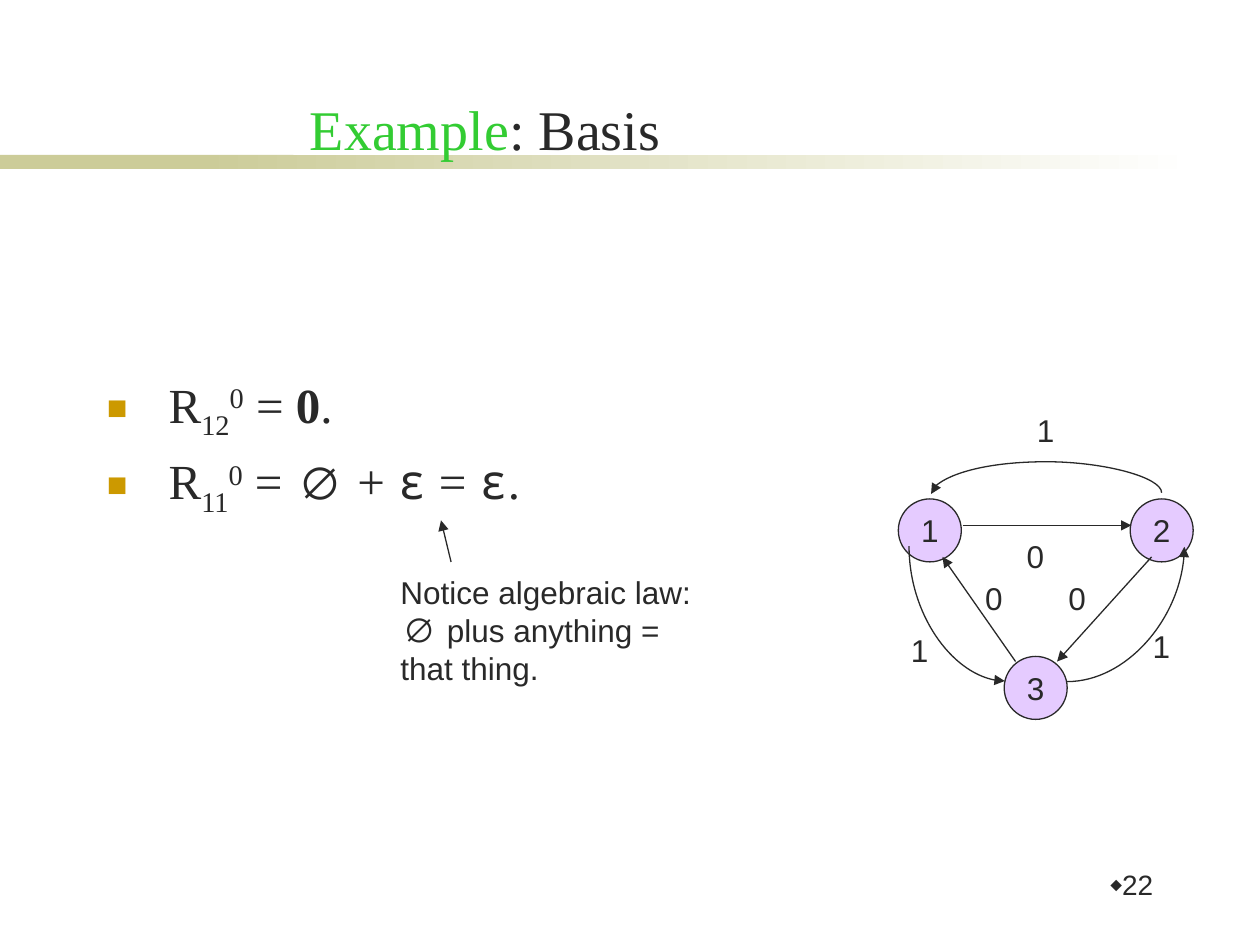
from pptx import Presentation, util as u
from pptx.dml.color import RGBColor
from pptx.enum import shapes, text
from pptx.oxml import parse_xml
from pptx.oxml.ns import nsdecls, qn

I = u.Inches


class Theme:
    """Colours, fonts and type sizes of the deck."""
    ink, green, gold = "292929", "33CC33", "CC9900"
    band, white, node = "CCCC99", "FFFFFF", "CC99FF"
    serif, sans, mono = "Times New Roman", "Arial", "Noto Sans Mono"
    title, body, sign, label, page = 32, 28, 24, 18, 16
    line = 0.75


def rgb(hue):
    """Turn a hex string into a colour."""
    return RGBColor.from_string(hue)


def tag(xml):
    """Make a drawing element from its name and attributes."""
    return parse_xml(f"<a:{xml} {nsdecls('a')}/>")


def apply(thing, form):
    """Set each attribute of the format on the thing."""
    for key, val in form.items():
        setattr(thing, key, val)


def add_run(para, words, size, face, hue=Theme.ink, base=0, bold=False):
    """Add one run of styled text, raised or lowered by base percent."""
    run = para.add_run()
    run.text = words
    apply(run.font, dict(size=u.Pt(size), name=face, bold=bold))
    run.font.color.rgb = rgb(hue)
    if base:
        run.font._element.set("baseline", str(base * 1000))


def add_box(slide, x, y, w, h, **form):
    """Add a text box and return its text frame."""
    frame = slide.shapes.add_textbox(I(x), I(y), I(w), I(h)).text_frame
    apply(frame, {"word_wrap": True, **form})
    return frame


def add_mark(para, sign, hue, size, dent=0):
    """Give a paragraph a bullet with a hanging indent."""
    props = para._p.get_or_add_pPr()
    props.set("marL", str(I(dent)))
    props.set("indent", str(-I(dent)))
    color = tag("buClr")
    color.append(tag(f'srgbClr val="{hue}"'))
    props.append(color)
    props.append(tag(f'buSzPct val="{size * 1000}"'))
    props.append(tag(f'buFont typeface="{Theme.sans}"'))
    props.append(tag(f'buChar char="{sign}"'))


def add_arrow(slide, x1, y1, x2, y2):
    """Draw a thin line that ends in a triangle."""
    link = slide.shapes.add_connector(
        shapes.MSO_CONNECTOR.STRAIGHT, I(x1), I(y1), I(x2), I(y2))
    link.line.width = u.Pt(Theme.line)
    link.line.color.rgb = rgb(Theme.ink)
    link.line._get_or_add_ln().append(tag('tailEnd type="triangle"'))
    link._element.spPr.append(tag("effectLst"))
    return link


def add_curve(slide, x, y, w, h, kind, turn=0, flips=(), bend=None):
    """Draw a curved arrow in a box that is flipped and then turned."""
    props = add_arrow(slide, x, y, x + w, y + h)._element.spPr
    props.xfrm.set("rot", str(turn * 60000))
    for flip in flips:
        props.xfrm.set(flip, "1")
    geom = props.find(qn("a:prstGeom"))
    geom.set("prst", kind)
    if bend is not None:
        geom.get_or_add_avLst().append(
            tag(f'gd name="adj1" fmla="val {bend * 100000}"'))


def add_band(slide, x, y, w, h):
    """Draw the band that fades out to the right."""
    solid = 2.33
    fade = 1.58
    for left, wide in ((x, solid), (x + fade, w - fade)):
        bar = slide.shapes.add_shape(
            shapes.MSO_SHAPE.RECTANGLE, I(left), I(y), I(wide), I(h))
        bar.shadow.inherit = False
        bar.line.fill.background()
        if left == x:
            bar.fill.solid()
            bar.fill.fore_color.rgb = rgb(Theme.band)
            continue
        bar.fill.gradient()
        bar.fill.gradient_angle = 0
        for stop, (pos, hue) in zip(bar.fill.gradient_stops,
                                    ((0, Theme.band), (1, Theme.white))):
            stop.position = pos
            stop.color.rgb = rgb(hue)


def add_title(slide, x, y, w, h):
    """Write the two-coloured title."""
    frame = add_box(slide, x, y, w, h,
                    vertical_anchor=text.MSO_ANCHOR.BOTTOM)
    para = frame.paragraphs[0]
    para.alignment = text.PP_ALIGN.CENTER
    add_run(para, "Example", Theme.title, Theme.serif, Theme.green)
    add_run(para, ": Basis", Theme.title, Theme.serif)


def add_body(slide, x, y, w, h):
    """Write the two bulleted formulas."""
    eps = ("ε", dict(face=Theme.mono))
    rows = (
        ("12", ((" = ", {}), ("0", dict(bold=True)), (".", {}))),
        ("11", ((" = ", {}), ("∅", dict(face=Theme.mono, size=Theme.sign)),
                (" + ", {}), eps, (" = ", {}), eps, (".", {}))),
    )
    frame = add_box(slide, x, y, w, h)
    for num, (sub, rest) in enumerate(rows):
        para = frame.add_paragraph() if num else frame.paragraphs[0]
        add_mark(para, "■", Theme.gold, 70, 0.49)
        para.space_before = u.Pt(5.6 * num)
        head = (("R", {}), (sub, dict(base=-25)), ("0", dict(base=30)))
        for words, form in head + rest:
            add_run(para, words,
                    **{"size": Theme.body, "face": Theme.serif, **form})


def add_graph(slide, x, y):
    """Draw the three-state automaton."""
    size = 0.5
    for name, dx, dy in (("1", 0, 0.75), ("3", 0.84, 2), ("2", 1.84, 0.75)):
        node = slide.shapes.add_shape(
            shapes.MSO_SHAPE.OVAL, I(x + dx), I(y + dy), I(size), I(size))
        node.shadow.inherit = False
        node.fill.solid()
        node.fill.fore_color.rgb = rgb(Theme.node)
        tint = node._element.spPr.find(qn("a:solidFill"))[0]
        tint.append(tag('alpha val="50000"'))
        node.line.width = u.Pt(Theme.line)
        node.line.color.rgb = rgb(Theme.ink)
        apply(node.text_frame, dict(
            word_wrap=False, vertical_anchor=text.MSO_ANCHOR.MIDDLE))
        para = node.text_frame.paragraphs[0]
        para.alignment = text.PP_ALIGN.CENTER
        add_run(para, name, Theme.label, Theme.sans)
    for x1, y1, x2, y2 in ((0.51, 0.96, 1.85, 0.96), (2.01, 1.21, 1.26, 2.04),
                           (0.93, 2.04, 0.35, 1.21)):
        add_arrow(slide, x + x1, y + y1, x + x2, y + y2)
    add_curve(slide, x + 1.17, y - 0.21, 0.01, 1.83, "curvedConnector3",
              270, ("flipH", "flipV"), -25)
    add_curve(slide, x - 0.07, y + 1.28, 1.07, 0.76, "curvedConnector2",
              270, ("flipH",))
    add_curve(slide, x + 1.34, y + 1.13, 0.93, 1.07, "curvedConnector2",
              flips=("flipV",))
    for name, dx, dy in (("0", 0.92, 1), ("0", 1.25, 1.34), ("0", 0.59, 1.34),
                         ("1", 1, 0), ("1", 0, 1.75), ("1", 1.92, 1.72)):
        frame = add_box(slide, x + dx, y + dy, 0.38, size, word_wrap=False)
        add_run(frame.paragraphs[0], name, Theme.label, Theme.sans)


def add_note(slide, x, y, w, h):
    """Write the note on the law and point it at the formula."""
    frame = add_box(slide, x, y, w, h, word_wrap=False)
    rows = ((("Notice algebraic law:", Theme.sans),),
            (("∅", Theme.mono), (" plus anything =", Theme.sans)),
            (("that thing.", Theme.sans),))
    for num, row in enumerate(rows):
        para = frame.add_paragraph() if num else frame.paragraphs[0]
        for words, face in row:
            add_run(para, words, Theme.label, face)
    add_arrow(slide, x + 0.5, y - 0.04, x + 0.42, y - 0.37)


def add_page(slide, x, y, w, h):
    """Write the page number with its diamond."""
    para = add_box(slide, x, y, w, h).paragraphs[0]
    add_mark(para, "⬥", Theme.ink, 60)
    apply(para, dict(alignment=text.PP_ALIGN.RIGHT, line_spacing=0.9))
    add_run(para, "22", Theme.page, Theme.sans)


def main():
    """Build the slide and save it."""
    deck = Presentation()
    apply(deck, dict(slide_width=I(10), slide_height=I(7.5)))
    slide = deck.slides.add_slide(deck.slide_layouts[6])
    add_band(slide, 0, 1.23, 9.5, 0.11)
    add_page(slide, 8.23, 6.87, 1.02, 0.5)
    add_title(slide, 1.35, 0.08, 5, 1.25)
    add_body(slide, 0.75, 2.92, 8.5, 3.75)
    add_graph(slide, 7.13, 3.21)
    add_note(slide, 3.08, 4.5, 3.27, 1.3)
    deck.save("out.pptx")


if __name__ == "__main__":
    main()
